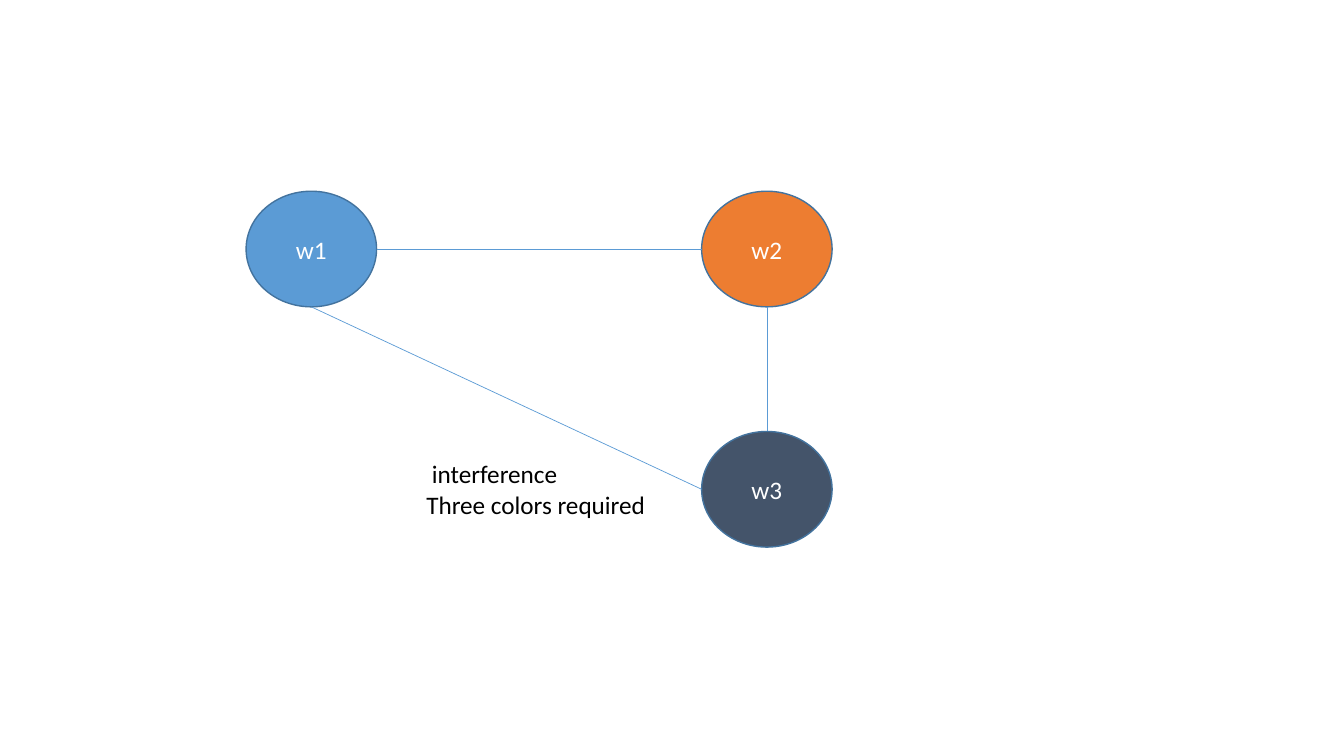
import pptx
import pptx.util
import pptx.dml.color
import pptx.enum.shapes
import pptx.enum.text
import pptx.oxml.ns
import lxml.etree

Pt = pptx.util.Pt
COLORS = {
    "blue": "5B9BD5",
    "orange": "ED7D31",
    "slate": "44546A",
    "outline": "43739E",
    "white": "FFFFFF",
    "black": "000000",
}
NODE_WIDTH, NODE_HEIGHT = 93.2, 82.6
LEFT, RIGHT = 175.8, 501.2
TOP, BOTTOM = 136.6, 308.2


def rgb(name):
    return pptx.dml.color.RGBColor.from_string(COLORS[name])


def add_text(paragraph, text, color):
    run = paragraph.add_run()
    run.text = text
    run.font.name = "Calibri"
    run.font.size = Pt(18)
    run.font.color.rgb = rgb(color)


presentation = pptx.Presentation()
presentation.slide_width = Pt(960)
presentation.slide_height = Pt(540)
slide = presentation.slides.add_slide(presentation.slide_layouts[6])

nodes = [
    ("w1", LEFT, TOP, "blue"),
    ("w2", RIGHT, TOP, "orange"),
    ("w3", RIGHT, BOTTOM, "slate"),
]
for label, left, top, color in nodes:
    node = slide.shapes.add_shape(
        pptx.enum.shapes.MSO_SHAPE.OVAL, Pt(left), Pt(top), Pt(NODE_WIDTH), Pt(NODE_HEIGHT)
    )
    node.shadow.inherit = False
    node.fill.solid()
    node.fill.fore_color.rgb = rgb(color)
    node.line.color.rgb = rgb("outline")
    node.line.width = Pt(1)
    node.text_frame.vertical_anchor = pptx.enum.text.MSO_ANCHOR.MIDDLE
    paragraph = node.text_frame.paragraphs[0]
    paragraph.alignment = pptx.enum.text.PP_ALIGN.CENTER
    add_text(paragraph, label, "white")

half_width, half_height = NODE_WIDTH / 2, NODE_HEIGHT / 2
edges = [
    (LEFT + NODE_WIDTH, TOP + half_height, RIGHT, TOP + half_height),
    (RIGHT + half_width, TOP + NODE_HEIGHT, RIGHT + half_width, BOTTOM),
    (LEFT + half_width, TOP + NODE_HEIGHT, RIGHT, BOTTOM + half_height),
]
for edge in edges:
    connector = slide.shapes.add_connector(
        pptx.enum.shapes.MSO_CONNECTOR.STRAIGHT, *[Pt(value) for value in edge]
    )
    connector.line.color.rgb = rgb("blue")
    connector.line.width = Pt(0.5)
    lxml.etree.SubElement(connector._element.spPr, pptx.oxml.ns.qn("a:effectLst"))

note = slide.shapes.add_textbox(Pt(297.4), Pt(324), Pt(177), Pt(51))
note.text_frame.word_wrap = False
note.text_frame.auto_size = pptx.enum.text.MSO_AUTO_SIZE.SHAPE_TO_FIT_TEXT
add_text(note.text_frame.paragraphs[0], " interference", "black")
add_text(note.text_frame.add_paragraph(), "Three colors required", "black")

presentation.save("out.pptx")
